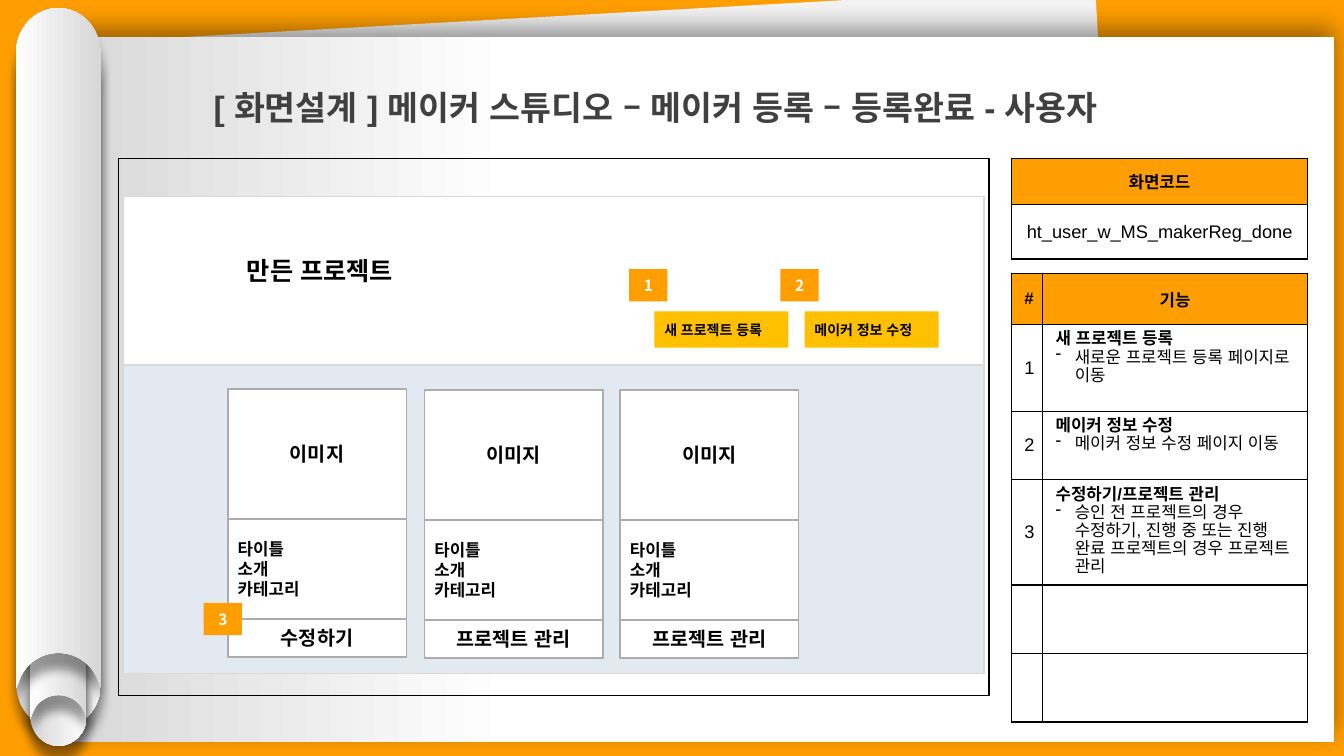
from dataclasses import dataclass
from typing import Any, Optional

from lxml import etree
from pptx import Presentation
from pptx.dml.color import RGBColor
from pptx.enum import shapes, text
from pptx.oxml import ns
from pptx.util import Inches, Pt

ORANGE = RGBColor(0xFF, 0x9E, 0x00)
AMBER = RGBColor(0xFF, 0xC0, 0x00)
WHITE = RGBColor(0xFF, 0xFF, 0xFF)
PAPER = RGBColor(0xF2, 0xF2, 0xF2)
SHADE = RGBColor(0xD7, 0xD7, 0xD7)
PALE = RGBColor(0xE3, 0xE9, 0xF1)
RULE = RGBColor(0xD9, 0xD9, 0xD9)
EDGE = RGBColor(0xAF, 0xAB, 0xAB)
BLACK = RGBColor(0, 0, 0)
INK = RGBColor(0x40, 0x40, 0x40)
SANS = "Noto Sans CJK KR"
LEFT, MID = text.PP_ALIGN.LEFT, text.PP_ALIGN.CENTER


@dataclass
class Line:
    words: str
    size: float
    bold: bool = True
    color: RGBColor = BLACK
    font: str = SANS
    align: Any = MID
    space: Optional[Any] = None
    dash: bool = False


@dataclass
class Box:
    left: float
    top: float
    width: float
    height: float
    fill: Optional[RGBColor] = None
    line: Optional[RGBColor] = None
    weight: float = 1
    lines: tuple[Line, ...] = ()
    turn: float = 0


@dataclass
class Roll:
    left: float
    top: float
    width: float
    height: float
    turn: float


@dataclass
class Card:
    left: float
    top: float
    button: str


@dataclass
class Task:
    name: str
    note: str


def tag(parent: Any, name: str, **attrs: Any) -> Any:
    """Append a DrawingML child element."""
    return etree.SubElement(parent, ns.qn("a:" + name), {k: str(v) for k, v in attrs.items()})


def write(frame: Any, lines: tuple[Line, ...]) -> None:
    for i, line in enumerate(lines):
        para = frame.paragraphs[0] if i == 0 else frame.add_paragraph()
        if line.dash:
            props = para._p.get_or_add_pPr()
            props.set("marL", str(Inches(0.19)))
            props.set("indent", str(-Inches(0.19)))
            tag(props, "buChar", char="-")
        para.alignment = line.align
        if line.space:
            para.line_spacing = line.space
        run = para.add_run()
        run.text = line.words
        run.font.size = Pt(line.size)
        run.font.bold = line.bold
        run.font.color.rgb = line.color
        run.font.name = line.font
        props = run._r.get_or_add_rPr()
        props.set("lang", "ko-KR")
        props.set("kern", "0")
        tag(props, "ea", typeface=SANS)


def draw(slide: Any, box: Box) -> Any:
    shape = slide.shapes.add_shape(
        shapes.MSO_SHAPE.RECTANGLE, Inches(box.left), Inches(box.top),
        Inches(box.width), Inches(box.height))
    shape.shadow.inherit = False
    shape.rotation = box.turn
    if box.fill is None:
        shape.fill.background()
    else:
        shape.fill.solid()
        shape.fill.fore_color.rgb = box.fill
    if box.line is None:
        shape.line.fill.background()
    else:
        shape.line.color.rgb = box.line
        shape.line.width = Pt(box.weight)
    shape.text_frame.word_wrap = True
    shape.text_frame.vertical_anchor = text.MSO_ANCHOR.MIDDLE
    write(shape.text_frame, box.lines)
    return shape


def blend(shape: Any, stops: tuple[tuple[float, RGBColor], ...]) -> None:
    """Fill with a gradient that runs from right to left."""
    shape.fill.gradient()
    shape.fill.gradient_angle = 180
    for stop, (place, color) in zip(shape.fill.gradient_stops, stops):
        stop.position = place
        stop.color.rgb = color


def shadow(shape: Any, blur: float, dist: float, angle: int) -> None:
    shape.shadow.inherit = False
    effects = shape._element.spPr.find(ns.qn("a:effectLst"))
    outer = tag(effects, "outerShdw", blurRad=Pt(blur), dist=Pt(dist),
                dir=angle * 60000, algn="ctr", rotWithShape=0)
    tag(tag(outer, "srgbClr", val=BLACK), "alpha", val=40000)


def bend(shape: Any, kinds: str) -> None:
    """Join each three straight steps marked C into one Bezier curve."""
    steps = iter(list(shape._element.iter(ns.qn("a:lnTo"))))
    for kind in kinds:
        step = next(steps)
        if kind == "C":
            step.tag = ns.qn("a:cubicBezTo")
            for _ in range(2):
                extra = next(steps)
                step.append(extra[0])
                extra.getparent().remove(extra)


def curl(slide: Any, roll: Roll) -> None:
    """Draw a paper roll: domed at the top, hollowed at the foot."""
    foot = roll.height / roll.width
    right = [(0.5, 0), (0.78, 0), (1, 0.24), (1, 0.53), (1, foot), (0.97, foot - 0.08),
             (0.9, foot - 0.29), (0.71, foot - 0.42), (0.5, foot - 0.42)]
    outline = right + [(1 - x, y) for x, y in right[-2::-1]]
    points = [(Inches(roll.left + x * roll.width), Inches(roll.top + y * roll.width))
              for x, y in outline]
    path = slide.shapes.build_freeform(*points[0])
    path.add_line_segments(points[1:], close=True)
    shape = path.convert_to_shape()
    bend(shape, "CLLCCLLC")
    shape.rotation = roll.turn
    shape.line.fill.background()
    blend(shape, ((0, SHADE), (1, WHITE)))
    shadow(shape, 7, 11, 90)


def grid(slide: Any, top: float, cols: list[float], rows: list[float]) -> Any:
    """Add a ruled table with an orange first row."""
    table = slide.shapes.add_table(
        len(rows), len(cols), Inches(10.03), Inches(top),
        Inches(sum(cols)), Inches(sum(rows))).table
    table.first_row = table.horz_banding = False
    for col, width in zip(table.columns, cols):
        col.width = Inches(width)
    for i, (row, height) in enumerate(zip(table.rows, rows)):
        row.height = Inches(height)
        for cell in row.cells:
            cell.margin_left = cell.margin_right = Inches(0.13)
            cell.margin_top = cell.margin_bottom = Inches(0.07)
            for side in ("lnL", "lnR", "lnT", "lnB"):
                edge = tag(cell._tc.get_or_add_tcPr(), side, w=Pt(1))
                tag(tag(edge, "solidFill"), "srgbClr", val=BLACK)
            cell.fill.solid()
            cell.fill.fore_color.rgb = ORANGE if i == 0 else WHITE
    return table


def label(cell: Any, words: str, size: float, bold: bool) -> None:
    cell.vertical_anchor = text.MSO_ANCHOR.MIDDLE
    write(cell.text_frame, (Line(words, size, bold, font="Arial"),))


ROLLS = (Roll(0.16, 0.48, 0.84, 6.75, 180), Roll(0.3, 2.88, 0.56, 4.52, 180),
         Roll(0.3, 2.61, 0.56, 4.52, 0), Roll(0.16, 0.08, 0.84, 6.75, 0))
CARDS = (Card(2.26, 3.86, "수정하기"), Card(4.21, 3.87, "프로젝트 관리"),
         Card(6.15, 3.87, "프로젝트 관리"))
BUTTONS = ((7.98, "메이커 정보 수정"), (6.49, "새 프로젝트 등록"))
BADGES = ((2.02, 5.98, "3"), (6.24, 2.67, "1"), (7.74, 2.67, "2"))
TASKS = (
    Task("새 프로젝트 등록", "새로운 프로젝트 등록 페이지로 이동"),
    Task("메이커 정보 수정", "메이커 정보 수정 페이지 이동"),
    Task("수정하기/프로젝트 관리",
         "승인 전 프로젝트의 경우 수정하기, 진행 중 또는 진행 완료 프로젝트의 경우 프로젝트 관리"),
)


def frame(slide: Any) -> None:
    """Draw the paper, its rolls and the title."""
    slide.background.fill.solid()
    slide.background.fill.fore_color.rgb = ORANGE
    draw(slide, Box(0.91, 0.14, 10.15, 6.8, PAPER, turn=356.8))
    sheet = draw(slide, Box(0.52, 0.37, 12.71, 6.99, WHITE))
    blend(sheet, ((0.64, WHITE), (1, SHADE)))
    shadow(sheet, 18, 6, 270)
    for roll in ROLLS:
        curl(slide, roll)
    title = slide.shapes.add_textbox(Inches(2.02), Inches(0.61), Inches(11.03), Inches(0.71))
    title.text_frame.word_wrap = True
    write(title.text_frame, (Line("[ 화면설계 ] 메이커 스튜디오 – 메이커 등록 – 등록완료 - 사용자",
                                  24, color=INK, font="Arial", align=LEFT, space=1.5),))


def tables(slide: Any) -> None:
    code = grid(slide, 1.57, [2.94], [0.46, 0.54])
    label(code.cell(0, 0), "화면코드", 12, True)
    label(code.cell(1, 0), "ht_user_w_MS_makerReg_done", 13, False)
    tasks = grid(slide, 2.71, [0.31, 2.63], [0.51, 0.86, 0.68, 1.03, 0.68, 0.68])
    label(tasks.cell(0, 0), "#", 12, True)
    label(tasks.cell(0, 1), "기능", 12, True)
    for i, task in enumerate(TASKS, 1):
        label(tasks.cell(i, 0), str(i), 13, False)
        write(tasks.cell(i, 1).text_frame, (
            Line(task.name, 12, font="Arial", align=LEFT, space=Pt(13)),
            Line(task.note, 12, False, font="Arial", align=LEFT, space=Pt(13), dash=True)))


def screen(slide: Any) -> None:
    """Draw the mock page with its cards, buttons and badges."""
    draw(slide, Box(1.18, 1.57, 8.63, 5.33, line=BLACK, weight=0.75))
    draw(slide, Box(1.22, 1.95, 8.54, 4.73, WHITE, RULE))
    draw(slide, Box(1.22, 3.62, 8.54, 3.06, PALE, RULE))
    draw(slide, Box(2.35, 2.53, 2.41, 0.31, WHITE, lines=(Line("만든 프로젝트", 18, align=LEFT),)))
    for left, words in BUTTONS:
        draw(slide, Box(left, 3.09, 1.33, 0.36, AMBER, lines=(Line(words, 10, align=LEFT),)))
    info = tuple(Line(words, 12, align=LEFT) for words in ("타이틀", "소개", "카테고리"))
    for card in CARDS:
        top = card.top
        for height, lines in ((1.29, (Line("이미지", 14),)), (0.99, info),
                              (0.38, (Line(card.button, 14),))):
            draw(slide, Box(card.left, top, 1.77, height, WHITE, EDGE, lines=lines))
            top += height
    for left, top, digit in BADGES:
        draw(slide, Box(left, top, 0.38, 0.32, ORANGE, lines=(Line(digit, 11, color=WHITE),)))


def main() -> None:
    deck = Presentation()
    deck.slide_width, deck.slide_height = Inches(13.33), Inches(7.5)
    slide = deck.slides.add_slide(deck.slide_layouts[6])
    frame(slide)
    tables(slide)
    screen(slide)
    deck.save("out.pptx")


if __name__ == "__main__":
    main()
